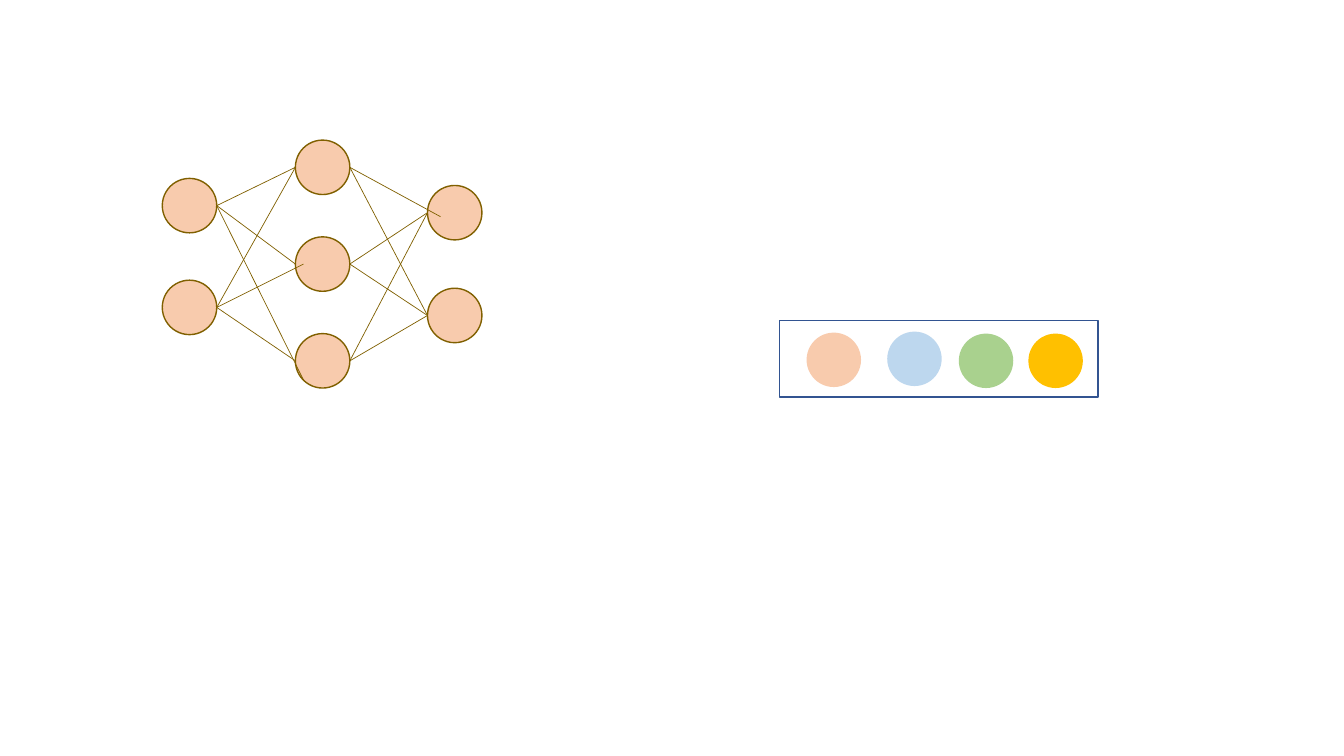
import pptx
import pptx.util
import pptx.dml.color
import pptx.enum.shapes
import pptx.oxml.ns
import lxml.etree

# Content: node tops per layer, legend places, link ends that run past the node edge
COLORS = {"box": "FFFFFF", "frame": "325491", "edge": "806000", "peach": "F8CBAD",
          "blue": "BDD7EE", "green": "A9D18E", "amber": "FFC000"}
LAYERS = [(1.61, [1.77, 2.78]),
          (2.93, [1.39, 2.35, 3.31]),
          (4.24, [1.84, 2.86])]
LEGEND = [("peach", 8.0, 3.3), ("blue", 8.8, 3.29),
          ("green", 9.51, 3.31), ("amber", 10.2, 3.31)]
LEGEND_BOX = (7.73, 3.18, 3.16, 0.76)
# (layer, from node, to node): shift of the link's end
OVERSHOOT = {(0, 0, 2): (0.08, 0.19), (0, 1, 1): (0.08, 0), (1, 0, 0): (0.13, 0.04)}
NODE = 0.54

SHAPES = pptx.enum.shapes.MSO_SHAPE
inch = pptx.util.Inches

prs = pptx.Presentation()
prs.slide_width, prs.slide_height = inch(13.33), inch(7.5)
s = prs.slides.add_slide(prs.slide_layouts[6])


def set_line(line, color, width):
    line.color.rgb = pptx.dml.color.RGBColor.from_string(COLORS[color])
    line.width = pptx.util.Pt(width)


def add_shape(kind, box, fill, line=None):
    sp = s.shapes.add_shape(kind, *map(inch, box))
    sp.shadow.inherit = False
    sp.fill.solid()
    sp.fill.fore_color.rgb = pptx.dml.color.RGBColor.from_string(COLORS[fill])
    if line:
        set_line(sp.line, line, 1)
    else:
        sp.line.fill.background()


def add_circle(left, top, fill, line=None):
    add_shape(SHAPES.FLOWCHART_CONNECTOR, (left, top, NODE, NODE), fill, line)


def add_link(x1, y1, x2, y2):
    link = s.shapes.add_connector(pptx.enum.shapes.MSO_CONNECTOR.STRAIGHT,
                                  *map(inch, (x1, y1, x2, y2)))
    set_line(link.line, "edge", 0.5)
    lxml.etree.SubElement(link._element.spPr, pptx.oxml.ns.qn("a:effectLst"))


# Legend frame
add_shape(SHAPES.RECTANGLE, LEGEND_BOX, "box", "frame")

# Network nodes
for left, tops in LAYERS:
    for top in tops:
        add_circle(left, top, "peach", "edge")

# Links from each node's right side to the left side of every node in the next layer
for layer, ((x1, tops1), (x2, tops2)) in enumerate(zip(LAYERS, LAYERS[1:])):
    for i, y1 in enumerate(tops1):
        for j, y2 in enumerate(tops2):
            dx, dy = OVERSHOOT.get((layer, i, j), (0, 0))
            add_link(x1 + NODE, y1 + NODE / 2, x2 + dx, y2 + NODE / 2 + dy)

# Legend circles
for fill, left, top in LEGEND:
    add_circle(left, top, fill)

prs.save("out.pptx")
